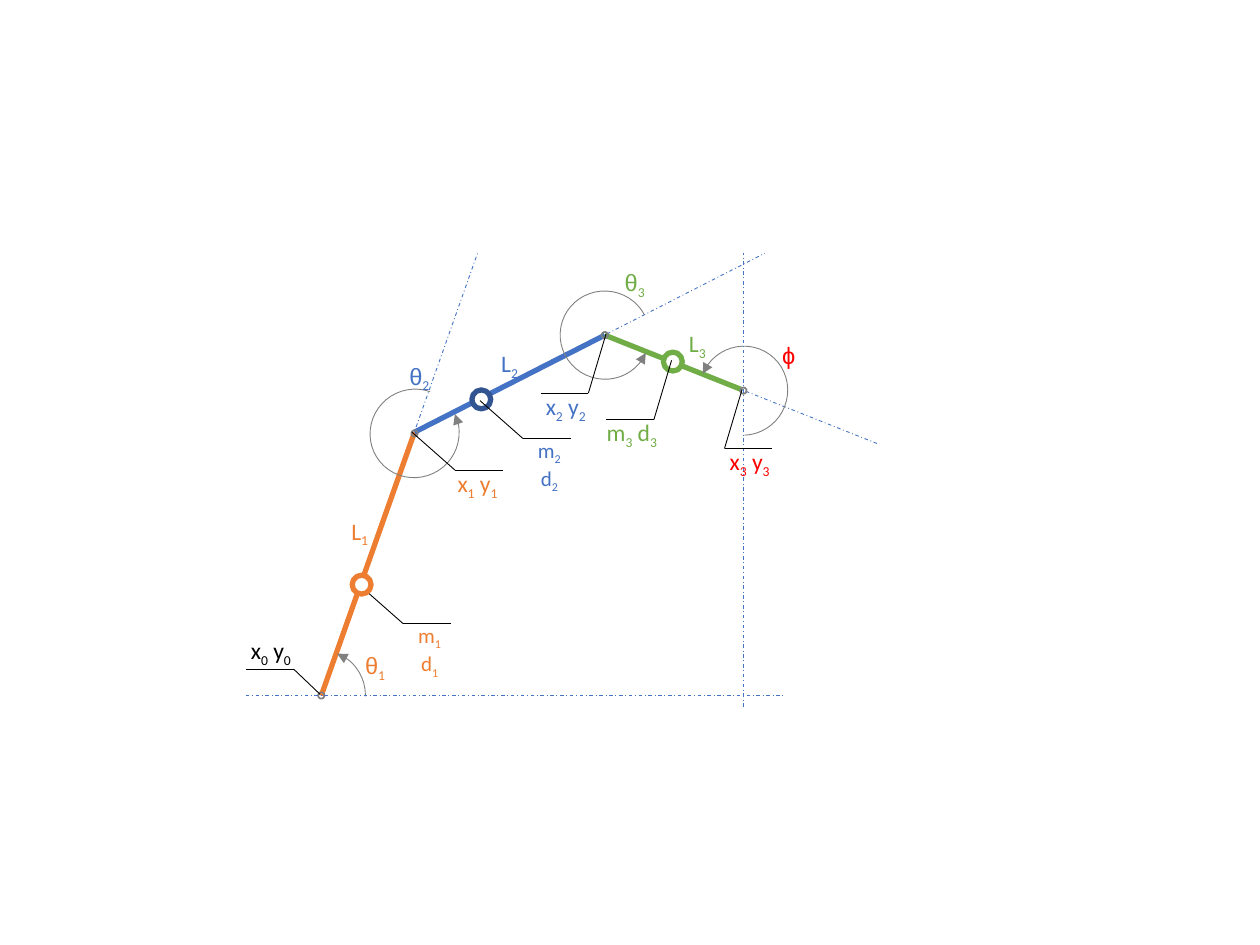
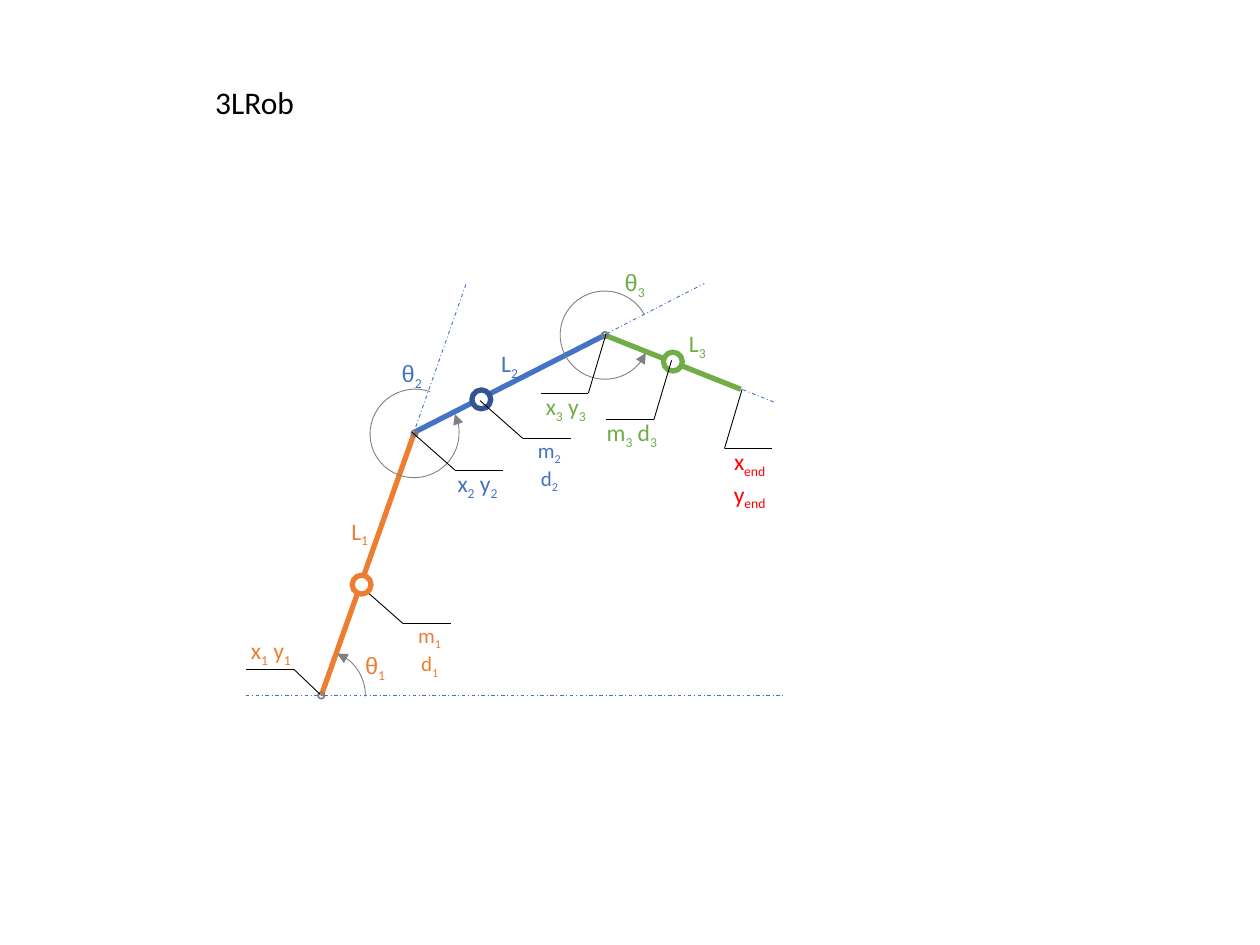
"""Build two labelled diagrams of a three-link robot arm."""
from lxml.etree import SubElement
from pptx import Presentation
from pptx.dml.color import RGBColor
from pptx.enum.dml import MSO_LINE
from pptx.enum.shapes import MSO_CONNECTOR, MSO_SHAPE
from pptx.enum.text import MSO_AUTO_SIZE, PP_ALIGN
from pptx.oxml.ns import qn
from pptx.util import Inches, Pt

COLORS = {
    "first": "ED7D31",
    "second": "4472C4",
    "third": "70AD47",
    "second_mass": "325491",
    "end": "FF0000",
    "angle": "808080",
    "ink": "000000",
    "paper": "FFFFFF",
}
TEXT_FONT = "Calibri"
ANGLE_FONT = "Arial"
ARC_SIZE = 0.7
ARC_HEIGHT = 0.71
JOINT_SIZE = 0.05
MASS_SIZE = 0.15
SHELF = 0.38
LABEL_HEIGHT = 0.33

BASE, SHOULDER, ELBOW, TIP = (2.55, 5.52), (3.29, 3.43), (4.8, 2.66), (5.88, 3.09)
LINKS = [
    (BASE, SHOULDER, "first"),
    (SHOULDER, ELBOW, "second"),
    (TIP, ELBOW, "third"),
]
JOINTS = [
    ((2.55, 5.52), 20.9, (162, 204.25)),
    ((3.29, 3.44), 57.8, (165.9, 139.53)),
    ((4.8, 2.66), 100.3, (169.99, 139.53)),
    ((5.9, 3.1), 215.9, (208.01, 139.53)),
]
MASSES = [
    ((2.87, 4.64), "first"),
    ((3.82, 3.17), "second_mass"),
    ((5.34, 2.87), "third"),
]
LENGTH_LABELS = [
    ((2.69, 4.05), "L|1", "first"),
    ((3.88, 2.72), "L|2", "second"),
    ((5.37, 2.56), "L|3", "third"),
]


def color(name):
    """Return the named colour."""
    return RGBColor.from_string(COLORS[name])


def set_line(line, name, width):
    """Colour a line and set its width in points."""
    line.color.rgb = color(name)
    line.width = Pt(width)


def add_line(shapes, start, end, name, width=0.5, dashed=False):
    """Add a straight line without shadow."""
    points = [Inches(value) for value in (*start, *end)]
    connector = shapes.add_connector(MSO_CONNECTOR.STRAIGHT, *points)
    set_line(connector.line, name, width)
    if dashed:
        connector.line.dash_style = MSO_LINE.DASH_DOT
    SubElement(connector._element.spPr, qn("a:effectLst"))


def add_centered(shapes, preset, center, width, height, name, weight):
    """Add an unfilled outline shape around a centre point."""
    left, top = center[0] - width / 2, center[1] - height / 2
    outline = shapes.add_shape(
        preset, Inches(left), Inches(top), Inches(width), Inches(height))
    outline.shadow.inherit = False
    outline.fill.background()
    set_line(outline.line, name, weight)
    return outline


def add_joint(slide, center, rotation, sweep):
    """Add a joint with its arrowed angle arc."""
    shapes = slide.shapes.add_group_shape().shapes
    arc = add_centered(
        shapes, MSO_SHAPE.ARC, center, ARC_SIZE, ARC_HEIGHT, "angle", 0.5)
    arc.adjustments[0], arc.adjustments[1] = sweep
    SubElement(arc.line._get_or_add_ln(), qn("a:headEnd"), type="triangle")
    pivot = add_centered(
        shapes, MSO_SHAPE.OVAL, center, JOINT_SIZE, JOINT_SIZE, "angle", 1)
    arc.rotation = pivot.rotation = rotation


def add_mass(slide, center, name):
    """Add the centre of mass of a link."""
    mass = add_centered(
        slide.shapes, MSO_SHAPE.OVAL, center, MASS_SIZE, MASS_SIZE, name, 3)
    mass.fill.solid()
    mass.fill.fore_color.rgb = color("paper")


def add_label(shapes, place, text, name, width=0.34, height=LABEL_HEIGHT,
              size=13.5, font=TEXT_FONT, wrap=False):
    """Add a label whose every second part, split at bars, is a subscript."""
    left, top = place
    label = shapes.add_textbox(
        Inches(left), Inches(top), Inches(width), Inches(height))
    frame = label.text_frame
    frame.word_wrap = wrap
    frame.auto_size = MSO_AUTO_SIZE.SHAPE_TO_FIT_TEXT
    paragraph = frame.paragraphs[0]
    paragraph.alignment = PP_ALIGN.CENTER if wrap else PP_ALIGN.LEFT
    for index, part in enumerate(text.split("|")):
        subscript = index % 2 == 1
        run = paragraph.add_run()
        run.text = part
        run.font.size = Pt(size)
        run.font.color.rgb = color(name)
        run.font.name = TEXT_FONT if subscript else font
        if subscript:
            run._r.get_or_add_rPr().set("baseline", "-25000")


def add_callout(slide, target, bend, side, place, text, name, **style):
    """Add a bent leader with its label; side is 1 for right, -1 for left."""
    shapes = slide.shapes.add_group_shape().shapes
    add_label(shapes, place, text, name, **{"width": 0.54, "wrap": True, **style})
    add_line(shapes, target, bend, "ink")
    add_line(shapes, bend, (bend[0] + side * SHELF, bend[1]), "ink")


def add_mechanism(slide, guides, joint_count):
    """Add the guide lines, links and joints."""
    first_guide, third_guide, second_guide = guides
    add_line(slide.shapes, BASE, first_guide, "second", dashed=True)
    add_line(slide.shapes, third_guide, ELBOW, "second", dashed=True)
    add_line(slide.shapes, SHOULDER, second_guide, "second", dashed=True)
    for start, end, name in LINKS:
        add_line(slide.shapes, start, end, name, 3)
    for joint in JOINTS[:joint_count]:
        add_joint(slide, *joint)


def add_angle_and_length_labels(slide, second_angle_place):
    """Label the joint angles and the link lengths."""
    angles = [
        ((2.8, 5.12), "θ|1", "first"),
        (second_angle_place, "θ|2", "second"),
        ((4.86, 2.08), "θ|3", "third"),
    ]
    for angle in angles:
        add_label(slide.shapes, *angle, width=0.36, font=ANGLE_FONT)
    for length in LENGTH_LABELS:
        add_label(slide.shapes, *length)


def add_callouts(slide, base, shoulder, elbow, tip, tip_height=LABEL_HEIGHT):
    """Add masses, coordinate callouts given as text and colour, and ground."""
    small = {"size": 12, "height": 0.5}
    add_callout(slide, (3.27, 3.43), (3.61, 3.73), 1, (3.26, 3.67),
                *shoulder, width=1.06)
    add_callout(slide, (4.81, 2.65), (4.67, 3.12), -1, (4.22, 3.06), *elbow)
    add_callout(slide, (5.89, 3.09), (5.75, 3.56), 1, (5.68, 3.5),
                *tip, height=tip_height)
    add_callout(slide, (2.86, 4.65), (3.2, 4.95), 1, (3.14, 4.89),
                "m|1| d|1", "first", **small)
    for mass in MASSES:
        add_mass(slide, *mass)
    add_callout(slide, (5.33, 2.86), (5.19, 3.33), -1, (4.66, 3.27),
                "m|3| d|3", "third", width=0.71)
    add_callout(slide, (3.81, 3.18), (4.15, 3.48), 1, (4.09, 3.42),
                "m|2| d|2", "second", **small)
    add_callout(slide, (2.54, 5.51), (2.33, 5.31), -1, (1.88, 5), *base)
    add_line(slide.shapes, (1.95, 5.52), (6.22, 5.52), "second", dashed=True)


def build_orientation_slide(slide):
    """Show the arm with the orientation of its tip."""
    add_mechanism(slide, [(3.79, 2.01), (6.96, 3.52), (6.07, 2.01)], 4)
    add_line(slide.shapes, (5.9, 5.61), (5.9, 2.01), "second", dashed=True)
    add_angle_and_length_labels(slide, (3.15, 2.82))
    add_label(slide.shapes, (6.11, 2.66), "ϕ", "end", 0.32, font=ANGLE_FONT)
    add_callouts(slide, ("x|0| y|0", "ink"), ("x|1| y|1", "first"),
                 ("x|2| y|2", "second"), ("x|3| y|3", "end"))


def build_end_point_slide(slide):
    """Show the titled arm with its end point."""
    add_mechanism(slide, [(3.7, 2.25), (6.14, 3.19), (5.59, 2.25)], 3)
    add_angle_and_length_labels(slide, (3.09, 2.8))
    add_callouts(slide, ("x|1| y|1", "first"), ("x|2| y|2", "second"),
                 ("x|3| y|3", "third"), ("x|end |y|end", "end"), 0.56)
    add_label(slide.shapes, (1.61, 0.61), "3LRob", "ink", 0.83, 0.4, size=18)


def main():
    """Build and save the presentation."""
    deck = Presentation()
    deck.slide_width, deck.slide_height = Inches(10), Inches(7.5)
    blank = deck.slide_layouts[6]
    for build in (build_orientation_slide, build_end_point_slide):
        build(deck.slides.add_slide(blank))
    deck.save("out.pptx")


main()
